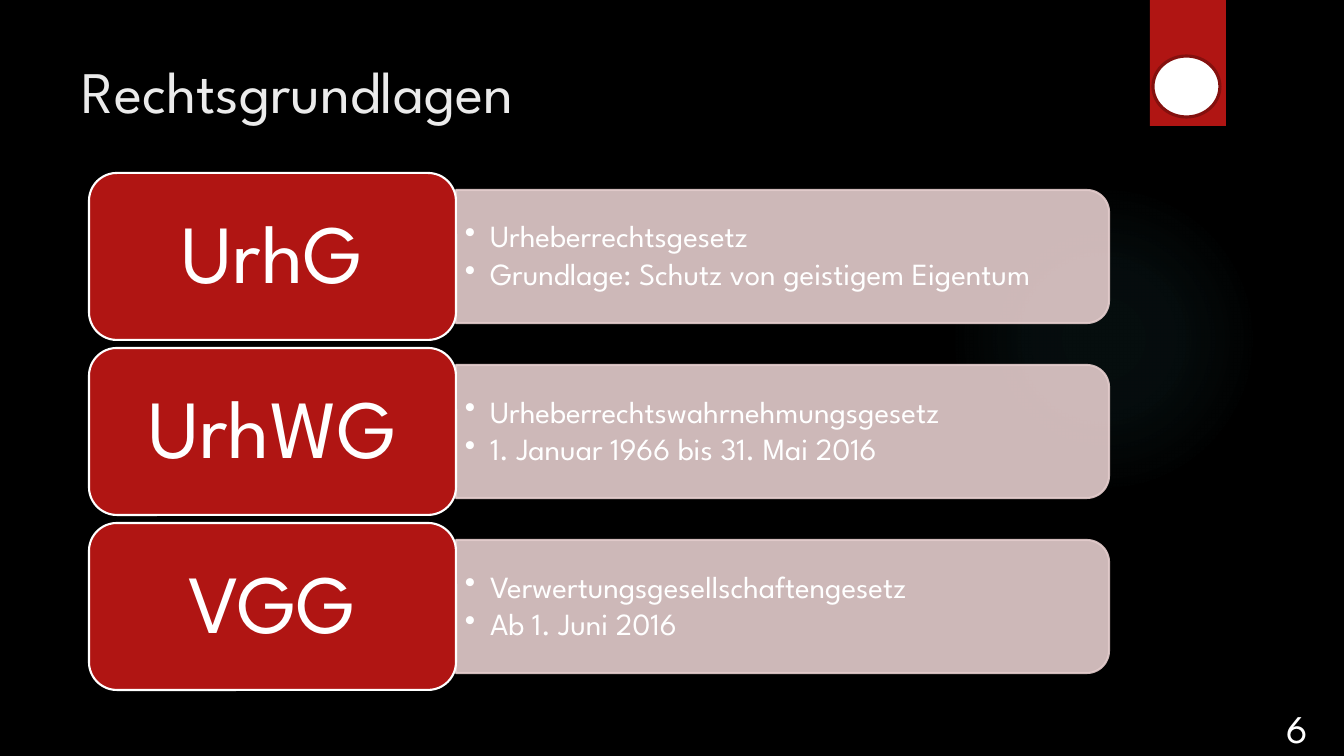
from dataclasses import dataclass
from typing import Any

from lxml.etree import SubElement
from pptx import Presentation
from pptx.dml.color import RGBColor
from pptx.enum.shapes import MSO_SHAPE as Preset
from pptx.enum.text import MSO_ANCHOR as Anchor, MSO_AUTO_SIZE as AutoSize, PP_ALIGN as Align
from pptx.oxml import parse_xml
from pptx.oxml.ns import nsdecls, qn
from pptx.util import Emu, Length, Pt

PX_PER_INCH = 100.8
FONT = "League Spartan"
BLACK = RGBColor(0x00, 0x00, 0x00)
WHITE = RGBColor(0xFF, 0xFF, 0xFF)
OFF_WHITE = RGBColor(0xEB, 0xEB, 0xEB)
RED = RGBColor(0xB0, 0x15, 0x13)
DARK_RED = RGBColor(0x84, 0x10, 0x0E)
ROSE = RGBColor(0xE4, 0xCC, 0xCC)
TEAL = RGBColor(0x50, 0xB9, 0xC1)


@dataclass(frozen=True)
class Box:
    left: int
    top: int
    width: int
    height: int

    def emu(self) -> tuple[Length, ...]:
        return tuple(px(n) for n in (self.left, self.top, self.width, self.height))

    def lowered(self, distance: int) -> "Box":
        return Box(self.left, self.top + distance, self.width, self.height)

    def upright(self) -> "Box":
        """The box that covers this one after a quarter turn."""
        shift = (self.width - self.height) // 2
        return Box(self.left + shift, self.top - shift, self.height, self.width)


@dataclass(frozen=True)
class Law:
    code: str
    details: tuple[str, ...]


LAWS = (
    Law("UrhG", ("Urheberrechtsgesetz", "Grundlage: Schutz von geistigem Eigentum")),
    Law("UrhWG", ("Urheberrechtswahrnehmungsgesetz", "1. Januar 1966 bis 31. Mai 2016")),
    Law("VGG", ("Verwertungsgesellschaftengesetz", "Ab 1. Juni 2016")),
)
LAW_PITCH = 175
CODE_CARD = Box(89, 173, 367, 167)
DETAIL_BAR = Box(456, 190, 653, 133)
DETAIL_TEXT = Box(456, 197, 646, 120)


def px(count: int) -> Length:
    return Emu(round(count * 914400 / PX_PER_INCH))


def apply(target: Any, formats: dict[str, Any]) -> None:
    for name, value in formats.items():
        setattr(target, name, value)


def frame_format(anchor: Anchor, side: int, edge: int) -> dict[str, Any]:
    return {
        "word_wrap": True, "auto_size": AutoSize.NONE, "vertical_anchor": anchor,
        "margin_left": px(side), "margin_right": px(side),
        "margin_top": px(edge), "margin_bottom": px(edge),
    }


def style_font(paragraph: Any, size: int, color: RGBColor) -> None:
    apply(paragraph.font, {"name": FONT, "size": Pt(size)})
    paragraph.font.color.rgb = color


def space_lines(paragraph: Any, after_percent: int) -> Any:
    """Tighten the lines, add relative space below, return the properties."""
    paragraph.line_spacing = 0.9
    properties = paragraph._p.get_or_add_pPr()
    space_after = SubElement(properties, qn("a:spcAft"))
    SubElement(space_after, qn("a:spcPct"), val=str(after_percent * 1000))
    return properties


def add_filled(slide: Any, preset: Preset, box: Box, fill: RGBColor,
               line: RGBColor | None = None, line_width: float = 1.5) -> Any:
    shape = slide.shapes.add_shape(preset, *box.emu())
    shape.shadow.inherit = False
    shape.fill.solid()
    shape.fill.fore_color.rgb = fill
    if line is None:
        shape.line.fill.background()
    else:
        shape.line.color.rgb = line
        shape.line.width = Pt(line_width)
    return shape


def add_glow(slide: Any, box: Box) -> None:
    glow = add_filled(slide, Preset.OVAL, box, TEAL)
    stops = "".join(
        f'<a:gs pos="{position}000"><a:srgbClr val="{TEAL}">'
        f'<a:alpha val="{alpha}000"/></a:srgbClr></a:gs>'
        for position, alpha in ((0, 7), (36, 6), (69, 0))
    )
    gradient = parse_xml(
        f'<a:gradFill {nsdecls("a")} rotWithShape="1"><a:gsLst>{stops}</a:gsLst>'
        '<a:path path="circle"><a:fillToRect l="50000" t="50000" r="50000" b="50000"/>'
        '</a:path></a:gradFill>'
    )
    solid = glow._element.spPr.find(qn("a:solidFill"))
    solid.getparent().replace(solid, gradient)


def add_detail_bar(slide: Any, box: Box) -> None:
    bar = add_filled(slide, Preset.ROUND_2_SAME_RECTANGLE, box.upright(), ROSE, ROSE)
    bar.rotation = 90
    for color in bar._element.spPr.iter(qn("a:srgbClr")):
        SubElement(color, qn("a:alpha"), val="90000")


def add_details(slide: Any, box: Box, details: tuple[str, ...]) -> None:
    frame = slide.shapes.add_textbox(*box.emu()).text_frame
    apply(frame, frame_format(Anchor.MIDDLE, 9, 5))
    frame.text = "\n".join(details)
    for paragraph in frame.paragraphs:
        style_font(paragraph, 22, WHITE)
        properties = space_lines(paragraph, 15)
        properties.set("marL", "228600")
        properties.set("indent", "-228600")
        SubElement(properties, qn("a:buChar"), char="•")
        # Default run properties belong after the bullet
        properties.append(properties.find(qn("a:defRPr")))
        for run in paragraph.runs:
            style_font(run, 22, WHITE)


def add_code_card(slide: Any, box: Box, code: str) -> None:
    card = add_filled(slide, Preset.ROUNDED_RECTANGLE, box, RED, WHITE)
    frame = card.text_frame
    apply(frame, frame_format(Anchor.MIDDLE, 33, 20))
    frame.text = code
    paragraph = frame.paragraphs[0]
    paragraph.alignment = Align.CENTER
    space_lines(paragraph, 35)
    style_font(paragraph.runs[0], 59, WHITE)


def set_title(slide: Any, text: str) -> None:
    title = slide.shapes.title
    apply(title, dict(zip(("left", "top", "width", "height"), Box(72, 50, 1037, 154).emu())))
    apply(title.text_frame, frame_format(Anchor.TOP, 10, 5))
    title.text_frame.text = text
    paragraph = title.text_frame.paragraphs[0]
    paragraph.alignment = Align.LEFT
    style_font(paragraph.runs[0], 42, OFF_WHITE)


def add_page_number(slide: Any, number: int) -> None:
    frame = slide.shapes.add_textbox(*Box(1251, 671, 92, 85).emu()).text_frame
    apply(frame, frame_format(Anchor.BOTTOM, 10, 5))
    frame.text = str(number)
    paragraph = frame.paragraphs[0]
    paragraph.alignment = Align.CENTER
    style_font(paragraph.runs[0], 28, WHITE)


def main() -> None:
    deck = Presentation()
    apply(deck, {"slide_width": px(1344), "slide_height": px(756)})
    slide = deck.slides.add_slide(deck.slide_layouts.get_by_name("Title Only"))
    slide.background.fill.solid()
    slide.background.fill.fore_color.rgb = BLACK

    set_title(slide, "Rechtsgrundlagen")
    add_glow(slide, Box(949, 184, 310, 310))
    add_filled(slide, Preset.RECTANGLE, Box(1150, 0, 76, 126), RED)
    add_filled(slide, Preset.OVAL, Box(1153, 56, 67, 61), WHITE, DARK_RED, 2.25)
    add_page_number(slide, 6)

    for index, law in enumerate(LAWS):
        drop = index * LAW_PITCH
        add_detail_bar(slide, DETAIL_BAR.lowered(drop))
        add_details(slide, DETAIL_TEXT.lowered(drop), law.details)
        add_code_card(slide, CODE_CARD.lowered(drop), law.code)
    deck.save("out.pptx")


if __name__ == "__main__":
    main()
